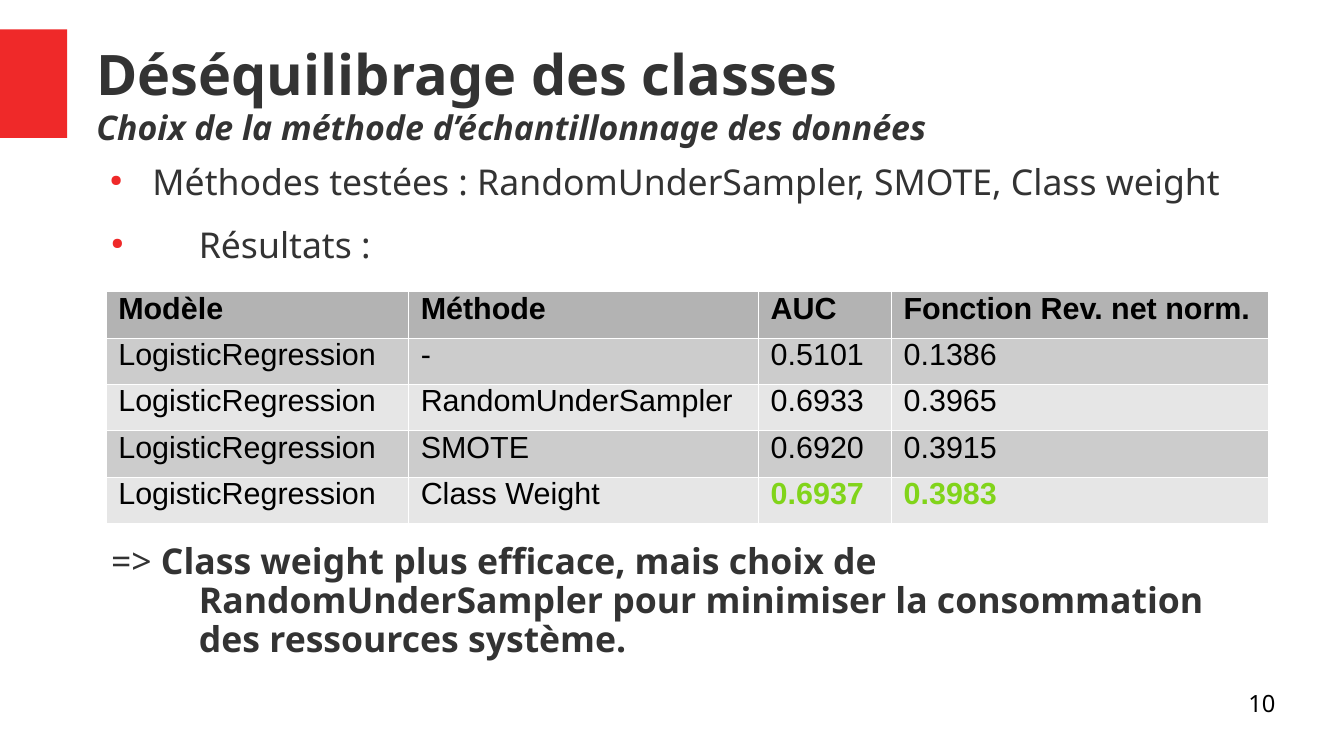
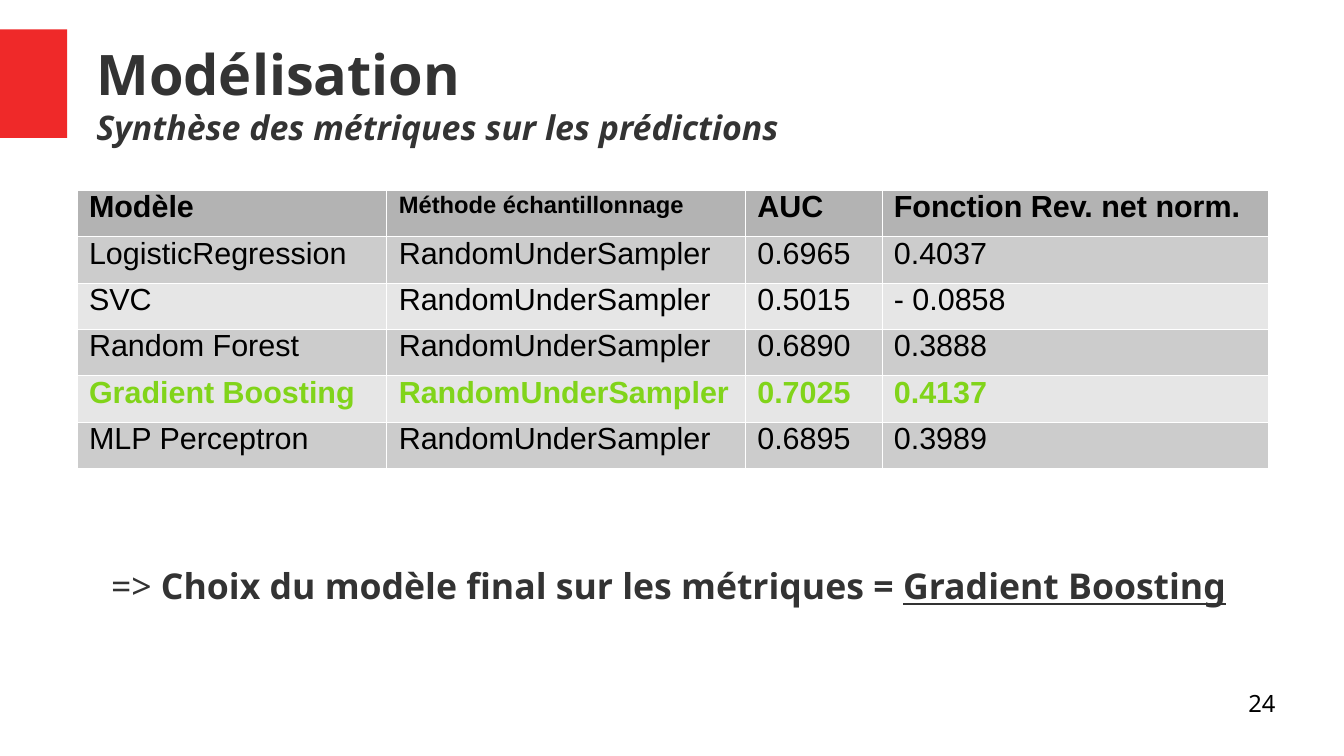
from lxml import etree
from pptx import Presentation
from pptx.dml.color import RGBColor
from pptx.enum import shapes, text
from pptx.oxml import ns
from pptx.util import Inches, Pt

RED = RGBColor(0xEF, 0x29, 0x29)
DARK = RGBColor(0x33, 0x33, 0x33)
BLACK = RGBColor(0x00, 0x00, 0x00)
WHITE = RGBColor(0xFF, 0xFF, 0xFF)
GREEN = RGBColor(0x81, 0xD4, 0x1A)
HEADER_GREY = RGBColor(0xB3, 0xB3, 0xB3)
ROW_GREYS = (RGBColor(0xCC, 0xCC, 0xCC), RGBColor(0xE6, 0xE6, 0xE6))
TEXT_FONT = "Noto Sans"
TABLE_FONT = "Arial"
ROW_HEIGHT = 0.38
TITLE_ONLY = 5


def add_xml(parent, tag, **attributes):
    return etree.SubElement(parent, ns.qn(tag), attributes)


def style_run(run, size, color=DARK, font=TEXT_FONT, bold=False, italic=False, underline=False):
    run.font.size = Pt(size)
    run.font.color.rgb = color
    run.font.name = font
    run.font.bold = bold
    run.font.italic = italic
    run.font.underline = underline


def set_indent(paragraph, left, hanging):
    properties = paragraph._p.get_or_add_pPr()
    properties.set("marL", str(Inches(left)))
    properties.set("indent", str(-Inches(hanging)))
    return properties


def set_borders(cell):
    """Draw hairline white borders; they must come before the cell's fill."""
    properties = cell._tc.get_or_add_tcPr()
    for side in ("a:lnL", "a:lnR", "a:lnT", "a:lnB"):
        line = add_xml(properties, side, w=str(Pt(0.06)))
        fill = add_xml(line, "a:solidFill")
        add_xml(fill, "a:srgbClr", val=str(WHITE))


class Deck:
    """Holds the shared style and the slide being built."""

    def __init__(self):
        self.presentation = Presentation()
        self.presentation.slide_width = Inches(11.02)
        self.presentation.slide_height = Inches(6.2)
        self.slide = None

    def add_slide(self, title, subtitle, number):
        layout = self.presentation.slide_layouts[TITLE_ONLY]
        self.slide = self.presentation.slides.add_slide(layout)
        self.add_red_block()
        self.set_title(title, subtitle)
        frame = self.add_text_box(7.9, 5.65, 2.56, 0.42)
        frame.text = str(number)
        frame.paragraphs[0].alignment = text.PP_ALIGN.RIGHT
        style_run(frame.paragraphs[0].runs[0], 14, BLACK)

    def add_red_block(self):
        block = self.slide.shapes.add_shape(
            shapes.MSO_SHAPE.RECTANGLE, 0, Inches(0.24), Inches(0.55), Inches(0.89))
        block.shadow.inherit = False
        block.fill.solid()
        block.fill.fore_color.rgb = RED
        block.line.fill.background()

    def clear_margins(self, frame):
        frame.margin_left = frame.margin_right = frame.margin_top = frame.margin_bottom = 0
        frame.word_wrap = True
        frame.auto_size = text.MSO_AUTO_SIZE.NONE

    def set_title(self, title, subtitle):
        shape = self.slide.shapes.title
        shape.left, shape.top = Inches(0.79), Inches(0.25)
        shape.width, shape.height = Inches(9.68), Inches(1.03)
        frame = shape.text_frame
        self.clear_margins(frame)
        frame.vertical_anchor = text.MSO_ANCHOR.MIDDLE
        frame.text = f"{title}\n{subtitle}"
        for paragraph, size, italic in zip(frame.paragraphs, (33, 20), (False, True)):
            paragraph.alignment = text.PP_ALIGN.LEFT
            paragraph.line_spacing = 1.0
            style_run(paragraph.runs[0], size, bold=True, italic=italic)

    def add_text_box(self, left, top, width, height):
        box = self.slide.shapes.add_textbox(
            Inches(left), Inches(top), Inches(width), Inches(height))
        self.clear_margins(box.text_frame)
        return box.text_frame

    def add_bullets(self, top, bullets):
        """Each bullet is its text, left margin and hanging indent."""
        frame = self.add_text_box(0.79, top, 9.45, 1)
        frame.text = "\n".join(content for content, _, _ in bullets)
        for paragraph, (_, left, hanging) in zip(frame.paragraphs, bullets):
            paragraph.line_spacing = 0.91
            paragraph.space_after = Pt(14.1)
            properties = set_indent(paragraph, left, hanging)
            color = add_xml(properties, "a:buClr")
            add_xml(color, "a:srgbClr", val=str(RED))
            add_xml(properties, "a:buSzPct", val="45000")
            add_xml(properties, "a:buChar", char="●")
            style_run(paragraph.runs[0], 21)

    def add_conclusion(self, top, height, bold_text, underlined_text=""):
        frame = self.add_text_box(0.79, top, 9.45, height)
        paragraph = frame.paragraphs[0]
        paragraph.line_spacing = 0.91
        set_indent(paragraph, 0.84, 0.72)
        parts = (("=>", False, False), (f" {bold_text}", True, False),
                 (underlined_text, True, True))
        for content, bold, underline in parts:
            if content:
                run = paragraph.add_run()
                run.text = content
                style_run(run, 21, bold=bold, underline=underline)

    def add_table(self, left, top, widths, rows, best_row, best_from=0, header_sizes=(18,) * 4):
        """Cells of best_row, from column best_from on, are bold and green."""
        table = self.slide.shapes.add_table(
            len(rows), len(widths), Inches(left), Inches(top),
            Inches(sum(widths)), Inches(ROW_HEIGHT * len(rows))).table
        table.first_row = table.horz_banding = False
        for column, width in zip(table.columns, widths):
            column.width = Inches(width)
        for r, values in enumerate(rows):
            table.rows[r].height = Inches(ROW_HEIGHT)
            for c, value in enumerate(values):
                header = r == 0
                best = r == best_row and c >= best_from
                cell = table.cell(r, c)
                set_borders(cell)
                cell.fill.solid()
                cell.fill.fore_color.rgb = HEADER_GREY if header else ROW_GREYS[(r - 1) % 2]
                cell.text_frame.text = value
                paragraph = cell.text_frame.paragraphs[0]
                paragraph.line_spacing = 0.79
                style_run(paragraph.runs[0], header_sizes[c] if header else 18,
                          GREEN if best else BLACK, TABLE_FONT, bold=header or best)


def main():
    deck = Deck()

    deck.add_slide("Déséquilibrage des classes",
                   "Choix de la méthode d’échantillonnage des données", 10)
    deck.add_bullets(1.35, [
        ("Méthodes testées : RandomUnderSampler, SMOTE, Class weight", 0.46, 0.35),
        ("Résultats :", 0.84, 0.72)])
    deck.add_conclusion(4.46, 1.2, "Class weight plus efficace, mais choix de RandomUnderSampler "
                        "pour minimiser la consommation des ressources système.")
    deck.add_table(0.87, 2.39, (2.48, 2.87, 1.09, 3.09), [
        ("Modèle", "Méthode", "AUC", "Fonction Rev. net norm."),
        ("LogisticRegression", "-", "0.5101", "0.1386"),
        ("LogisticRegression", "RandomUnderSampler", "0.6933", "0.3965"),
        ("LogisticRegression", "SMOTE", "0.6920", "0.3915"),
        ("LogisticRegression", "Class Weight", "0.6937", "0.3983")],
        best_row=4, best_from=2)

    deck.add_slide("Modélisation", "Synthèse des métriques sur les prédictions", 24)
    deck.add_conclusion(4.66, 0.5, "Choix du modèle final sur les métriques = ",
                        "Gradient Boosting")
    deck.add_table(0.63, 1.56, (2.54, 2.94, 1.12, 3.17), [
        ("Modèle", "Méthode échantillonnage", "AUC", "Fonction Rev. net norm."),
        ("LogisticRegression", "RandomUnderSampler", "0.6965", "0.4037"),
        ("SVC", "RandomUnderSampler", "0.5015", "- 0.0858"),
        ("Random Forest", "RandomUnderSampler", "0.6890", "0.3888"),
        ("Gradient Boosting", "RandomUnderSampler", "0.7025", "0.4137"),
        ("MLP Perceptron", "RandomUnderSampler", "0.6895", "0.3989")],
        best_row=4, header_sizes=(18, 14, 18, 18))

    deck.presentation.save("out.pptx")


if __name__ == "__main__":
    main()
